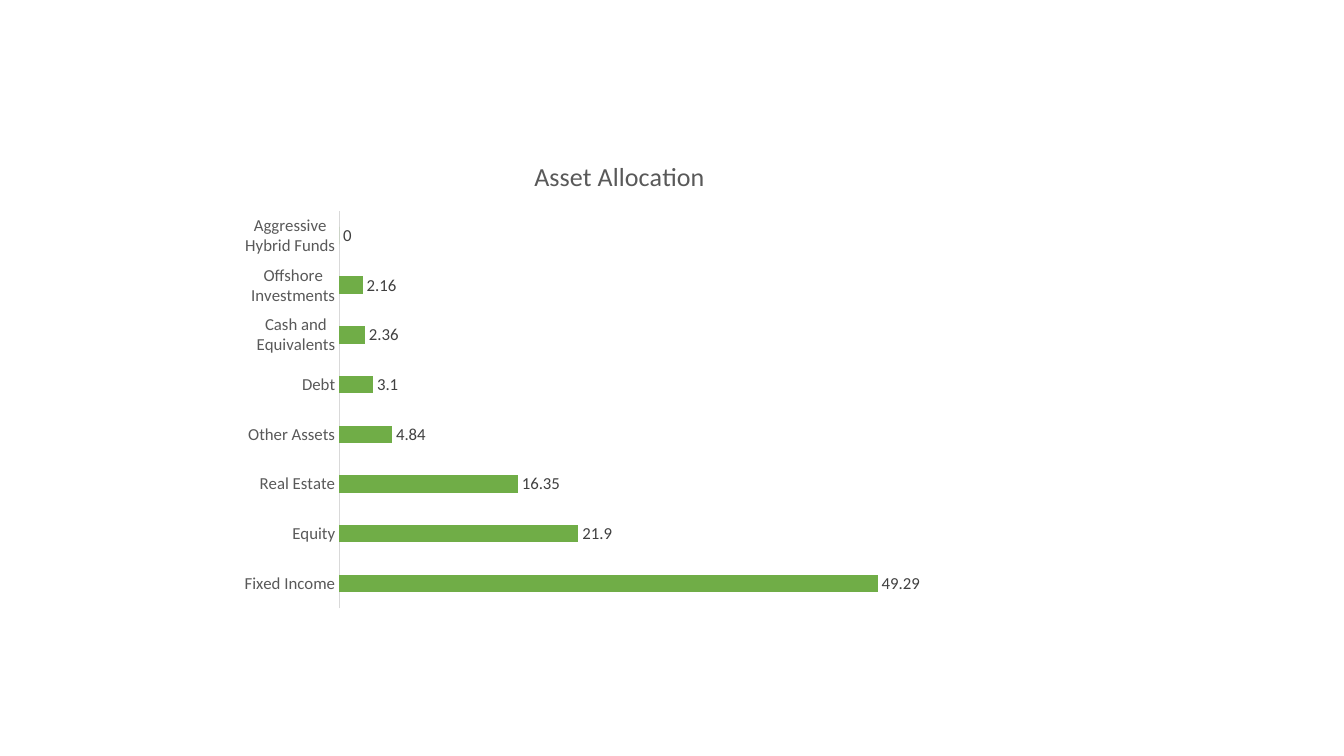
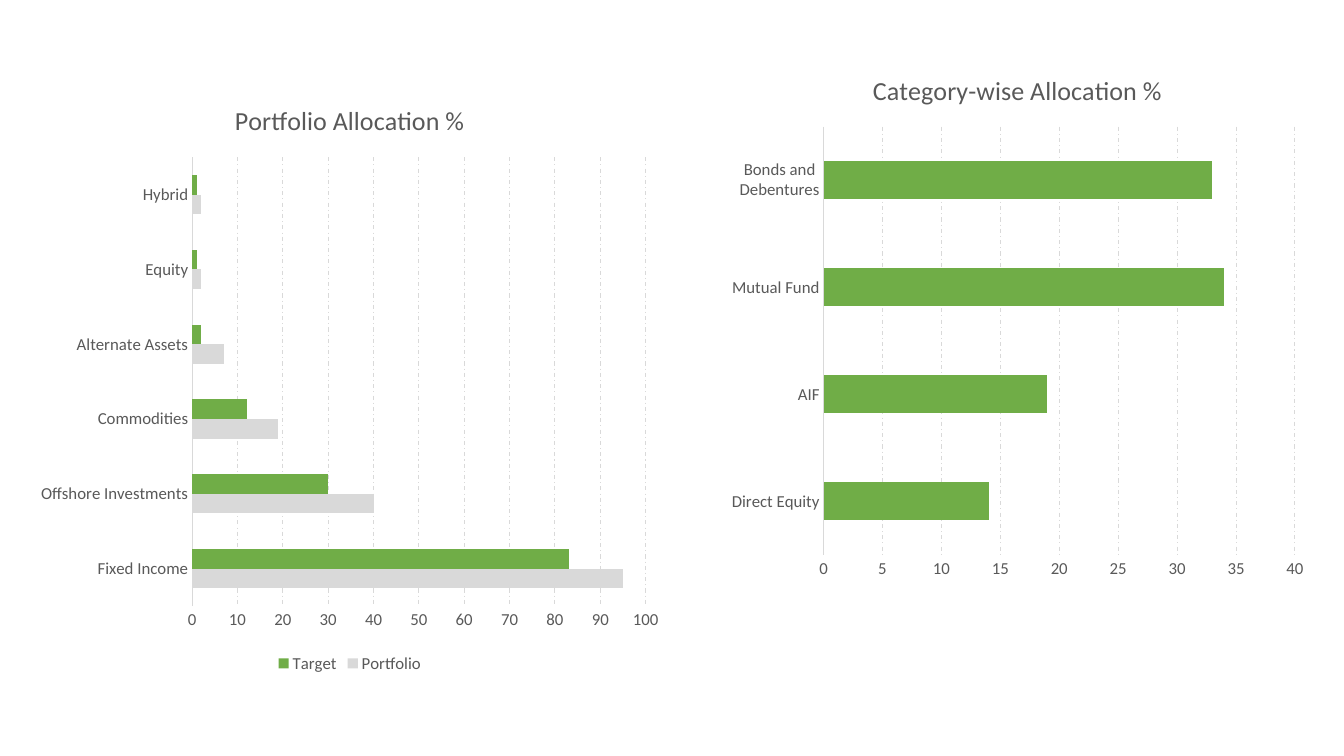
from pptx import Presentation
from pptx.chart.data import CategoryChartData
from pptx.dml.color import RGBColor
from pptx.enum.chart import XL_CHART_TYPE, XL_LABEL_POSITION, XL_LEGEND_POSITION, XL_TICK_MARK
from pptx.enum.dml import MSO_LINE
from pptx.util import Cm, Pt

BAR_CLUSTERED = XL_CHART_TYPE.BAR_CLUSTERED
OUTSIDE_END = XL_LABEL_POSITION.OUTSIDE_END
LEGEND_BOTTOM = XL_LEGEND_POSITION.BOTTOM
NO_TICKS = XL_TICK_MARK.NONE
DASH_DOT = MSO_LINE.DASH_DOT

GREEN = RGBColor(0x70, 0xAD, 0x47)
LIGHT_GREY = RGBColor(0xD9, 0xD9, 0xD9)
TEXT_GREY = RGBColor(0x59, 0x59, 0x59)
LABEL_GREY = RGBColor(0x40, 0x40, 0x40)


class ChartDeck:
    """Holds the shared chart style and the current slide."""

    font_name = "Calibri"
    text_size = Pt(12)
    title_size = Pt(18.6)
    line_width = Pt(0.75)
    gap_width = 182

    def __init__(self):
        self.presentation = Presentation()
        self.presentation.slide_width = Cm(33.87)
        self.presentation.slide_height = Cm(19.05)
        self.slide = None

    def add_slide(self):
        blank_layout = self.presentation.slide_layouts[6]
        self.slide = self.presentation.slides.add_slide(blank_layout)

    def style_font(self, font, size=text_size, color=TEXT_GREY):
        font.name = self.font_name
        font.size = size
        font.bold = False
        font.color.rgb = color

    def style_line(self, line):
        line.color.rgb = LIGHT_GREY
        line.width = self.line_width

    def add_bar_chart(self, title, box, categories, series):
        """Add bars; series holds (name, values, colour) entries."""
        data = CategoryChartData()
        data.categories = categories
        for name, values, _ in series:
            data.add_series(name, values)
        lengths = [Cm(length) for length in box]
        chart = self.slide.shapes.add_chart(BAR_CLUSTERED, *lengths, data).chart
        self.style_font(chart.font)

        # Title
        chart.has_title = True
        chart.chart_title.include_in_layout = False
        run = chart.chart_title.text_frame.paragraphs[0].add_run()
        run.text = title
        self.style_font(run.font, self.title_size)

        # Bars
        plot = chart.plots[0]
        plot.gap_width = self.gap_width
        plot.vary_by_categories = False
        for bars, (_, _, color) in zip(plot.series, series):
            bars.invert_if_negative = False
            bars.format.fill.solid()
            bars.format.fill.fore_color.rgb = color

        # Category axis
        axis = chart.category_axis
        axis.major_tick_mark = axis.minor_tick_mark = NO_TICKS
        axis.has_major_gridlines = False
        self.style_font(axis.tick_labels.font)
        self.style_line(axis.format.line)
        chart.has_legend = False
        return chart

    def show_value_axis(self, chart):
        axis = chart.value_axis
        axis.major_tick_mark = axis.minor_tick_mark = NO_TICKS
        axis.format.line.fill.background()
        self.style_font(axis.tick_labels.font)
        axis.has_major_gridlines = True
        grid_line = axis.major_gridlines.format.line
        self.style_line(grid_line)
        grid_line.dash_style = DASH_DOT

    def show_values_on_bars(self, chart):
        chart.value_axis.visible = False
        chart.value_axis.has_major_gridlines = False
        labels = chart.plots[0].series[0].data_labels
        labels.show_value = True
        labels.position = OUTSIDE_END
        self.style_font(labels.font, color=LABEL_GREY)

    def show_legend(self, chart):
        chart.has_legend = True
        chart.legend.position = LEGEND_BOTTOM
        chart.legend.include_in_layout = False
        self.style_font(chart.legend.font)


def main():
    deck = ChartDeck()

    # Asset allocation
    deck.add_slide()
    assets = deck.add_bar_chart(
        "Asset Allocation",
        (5.77, 3.48, 19.69, 12.09),
        ["Fixed Income", "Equity", "Real Estate", "Other Assets", "Debt",
         "Cash and Equivalents", "Offshore Investments", "Aggressive Hybrid Funds"],
        [("Series 1", (49.29, 21.9, 16.35, 4.84, 3.1, 2.36, 2.16, 0), GREEN)],
    )
    deck.show_values_on_bars(assets)

    # Portfolio against target, and split by category
    deck.add_slide()
    portfolio = deck.add_bar_chart(
        "Portfolio Allocation %",
        (0.71, 2.01, 16.21, 15.06),
        ["Fixed Income", "Offshore Investments", "Commodities",
         "Alternate Assets", "Equity", "Hybrid"],
        [("Portfolio", (95, 40, 19, 7, 2, 2), LIGHT_GREY),
         ("Target", (83, 30, 12, 2, 1, 1), GREEN)],
    )
    deck.show_value_axis(portfolio)
    deck.show_legend(portfolio)

    categories = deck.add_bar_chart(
        "Category-wise Allocation %",
        (18.14, 1.3, 15.01, 13.56),
        ["Direct Equity", "AIF", "Mutual Fund", "Bonds and Debentures"],
        [("Series 1", (14, 19, 34, 33), GREEN)],
    )
    deck.show_value_axis(categories)

    deck.presentation.save("out.pptx")


if __name__ == "__main__":
    main()
